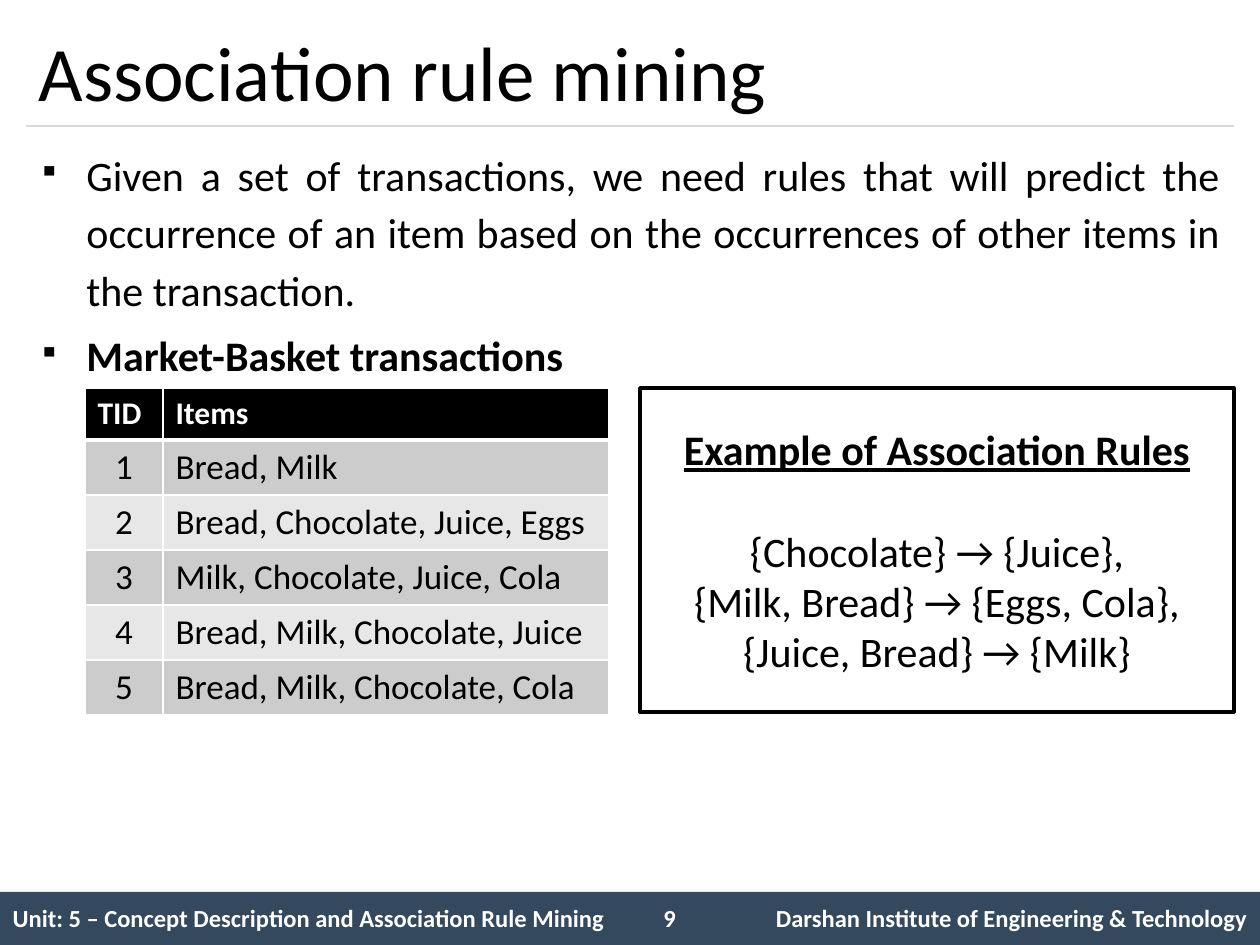
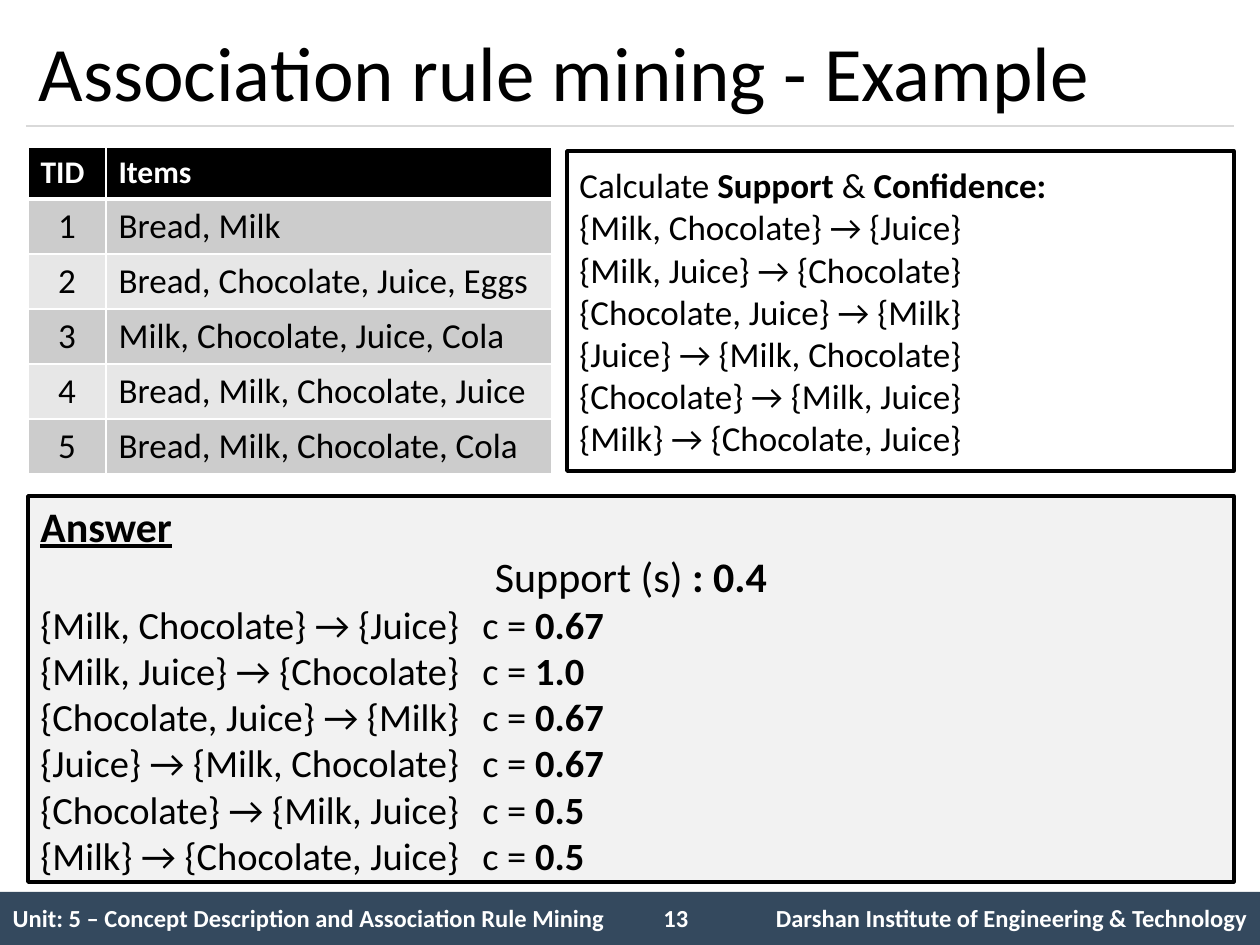
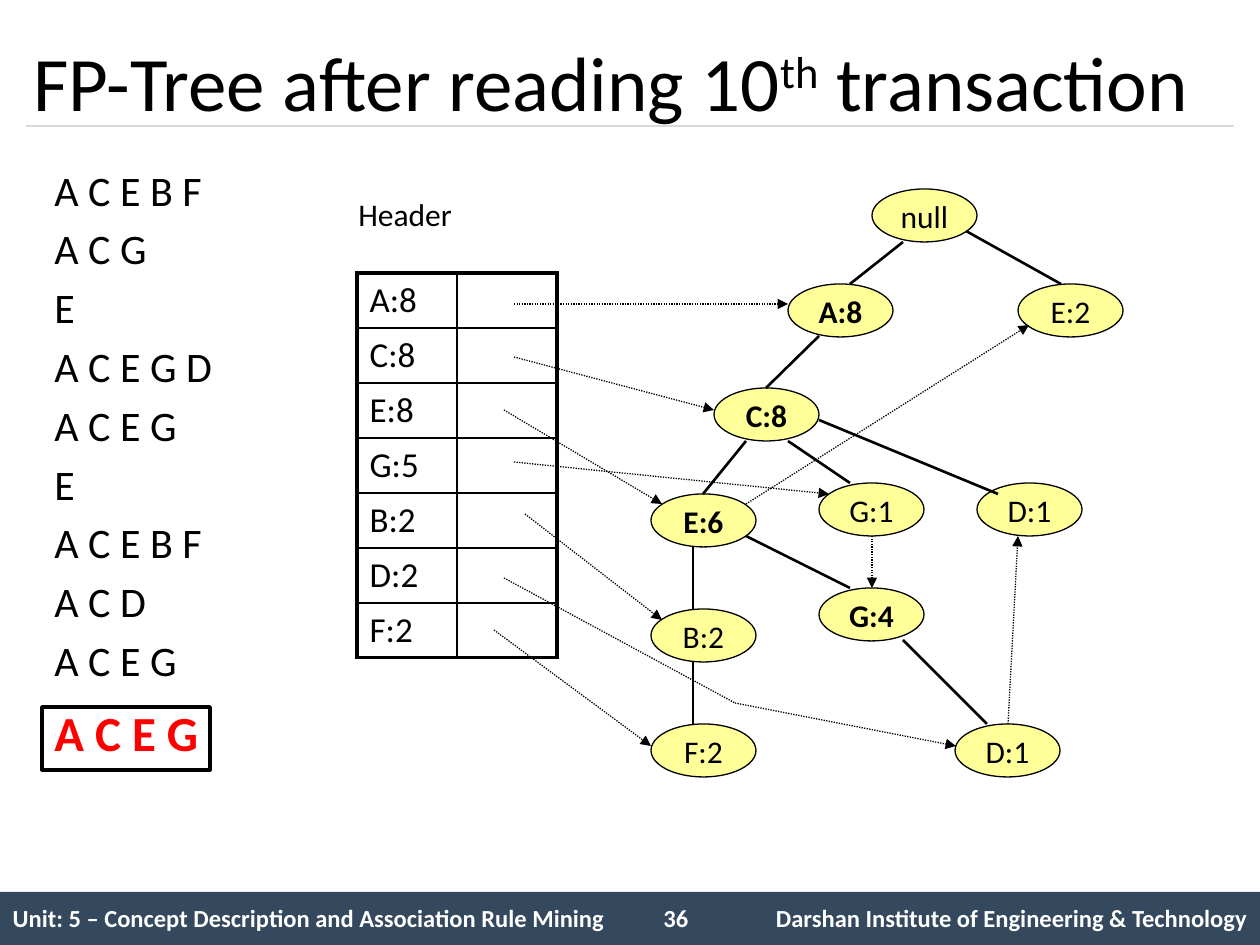
from typing import NamedTuple

from lxml import etree
from pptx import Presentation
from pptx import util as u
from pptx.dml.color import RGBColor
from pptx.enum import dml, shapes, text
from pptx.oxml import ns

EMU_PER_PX = 914400 / 126
FONT = "Calibri"
COLOURS = {
    "black": "000000", "white": "FFFFFF", "red": "FF0000", "band": "34495E",
    "rule": "D9D9D9", "dark_row": "CCCCCC", "light_row": "E7E7E7",
    "answer": "F2F2F2", "node": "FFFF99",
}
LEFT, CENTER, RIGHT, JUSTIFY = (
    text.PP_ALIGN.LEFT, text.PP_ALIGN.CENTER, text.PP_ALIGN.RIGHT, text.PP_ALIGN.JUSTIFY)


class Area(NamedTuple):
    left: int
    top: int
    width: int
    height: int


class Span(NamedTuple):
    text: str
    bold: bool = False
    raised: bool = False


class Node(NamedTuple):
    label: str
    left: int
    top: int
    bold: bool = False


class Link(NamedTuple):
    start: tuple[int, int]
    end: tuple[int, int]
    dotted: bool = False
    arrow: bool = False


class Border(NamedTuple):
    colour: str
    left: float
    right: float
    top: float
    bottom: float


TITLE_AREA = Area(26, 15, 1207, 111)
TREE_TITLE_AREA = Area(21, 32, 1218, 98)
NO_BORDER = Border("white", 0, 0, 0, 0)
BASKETS = [
    "Bread, Milk",
    "Bread, Chocolate, Juice, Eggs",
    "Milk, Chocolate, Juice, Cola",
    "Bread, Milk, Chocolate, Juice",
    "Bread, Milk, Chocolate, Cola",
]
CONFIDENCES = {
    "{Milk, Chocolate} → {Juice}": "0.67",
    "{Milk, Juice} → {Chocolate}": "1.0",
    "{Chocolate, Juice} → {Milk}": "0.67",
    "{Juice} → {Milk, Chocolate}": "0.67",
    "{Chocolate} → {Milk, Juice}": "0.5",
    "{Milk} → {Chocolate, Juice}": "0.5",
}
SEQUENCES = ["A C E B F", "A C G", "E", "A C E G D", "A C E G", "E",
             "A C E B F", "A C D", "A C E G"]
HEADER_ITEMS = ["A:8", "C:8", "E:8", "G:5", "B:2", "D:2", "F:2"]
NODES = [
    Node("null", 872, 189),
    Node("A:8", 788, 284, True),
    Node("E:2", 1018, 284),
    Node("C:8", 714, 388, True),
    Node("E:6", 651, 494, True),
    Node("G:1", 819, 483),
    Node("D:1", 977, 483),
    Node("G:4", 819, 588, True),
    Node("B:2", 651, 609),
    Node("F:2", 651, 724),
    Node("D:1", 955, 724),
]
BRANCHES = [
    Link((903, 242), (850, 284)),
    Link((966, 231), (1061, 284)),
    Link((819, 336), (766, 388)),
    Link((746, 441), (703, 494)),
    Link((788, 441), (850, 483)),
    Link((819, 420), (998, 494)),
    Link((693, 546), (693, 609)),
    Link((693, 662), (693, 724)),
    Link((746, 536), (850, 588)),
    Link((903, 640), (987, 724)),
]
POINTERS = [
    Link((514, 304), (788, 304), True, True),
    Link((514, 357), (714, 410), True, True),
    Link((504, 410), (662, 504), True, True),
    Link((746, 504), (1029, 325), True, True),
    Link((514, 462), (829, 494), True, True),
    Link((872, 536), (872, 588), True, True),
    Link((525, 514), (662, 620), True, True),
    Link((504, 578), (735, 703), True),
    Link((735, 703), (956, 746), True, True),
    Link((1008, 724), (1018, 536), True, True),
    Link((494, 630), (651, 746), True, True),
]


def px(length: float) -> int:
    return round(length * EMU_PER_PX)


def emus(area: Area) -> list[int]:
    return [px(length) for length in area]


def rgb(colour: str) -> RGBColor:
    return RGBColor.from_string(COLOURS[colour])


def write(frame, *spans: Span | str, size: float = 24, colour: str = "black",
          bold: bool = False, underline: bool = False, align=LEFT,
          before: float = 0, spacing: float | None = None,
          bullet: str = "", tab: int = 0) -> None:
    para = frame.paragraphs[0]
    if para.runs:
        para = frame.add_paragraph()
        para.space_before = u.Pt(before)
    properties = para._p.get_or_add_pPr()
    if bullet:
        properties.set("marL", str(px(48)))
        properties.set("indent", str(px(-48)))
        etree.SubElement(properties, ns.qn("a:buSzPct"), val="70000")
        etree.SubElement(properties, ns.qn("a:buChar"), char=bullet)
    if tab:
        stops = etree.SubElement(properties, ns.qn("a:tabLst"))
        etree.SubElement(stops, ns.qn("a:tab"), pos=str(px(tab)), algn="l")
    para.alignment = align
    if spacing:
        para.line_spacing = spacing
    for item in spans:
        span = Span(item, bold) if isinstance(item, str) else item
        run = para.add_run()
        run.text = span.text
        run.font.name = FONT
        run.font.size = u.Pt(size)
        run.font.bold = span.bold
        run.font.underline = underline
        run.font.color.rgb = rgb(colour)
        if span.raised:
            run._r.get_or_add_rPr().set("baseline", "30000")


def add_box(page, area: Area, fill: str = "", line: str = "black", weight: float = 2,
            kind=shapes.MSO_SHAPE.RECTANGLE, wrap: bool = True):
    box = page.shapes.add_shape(kind, *emus(area))
    box.shadow.inherit = False
    if fill:
        box.fill.solid()
        box.fill.fore_color.rgb = rgb(fill)
    else:
        box.fill.background()
    if line:
        box.line.color.rgb = rgb(line)
        box.line.width = u.Pt(weight)
    else:
        box.line.fill.background()
    box.text_frame.word_wrap = wrap
    box.text_frame.vertical_anchor = text.MSO_ANCHOR.MIDDLE
    return box.text_frame


def add_text(page, area: Area, wrap: bool = True):
    frame = page.shapes.add_textbox(*emus(area)).text_frame
    frame.word_wrap = wrap
    return frame


def add_link(page, link: Link, colour: str = "black", weight: float = 0) -> None:
    connector = page.shapes.add_connector(
        shapes.MSO_CONNECTOR.STRAIGHT, *emus(Area(*link.start, *link.end)))
    connector.line.color.rgb = rgb(colour)
    connector.line.width = u.Pt(weight or (0.75 if link.dotted else 1.5))
    if link.dotted:
        connector.line.dash_style = dml.MSO_LINE.ROUND_DOT
    if link.arrow:
        etree.SubElement(connector.line._get_or_add_ln(), ns.qn("a:tailEnd"), type="triangle")
    etree.SubElement(connector._element.spPr, ns.qn("a:effectLst"))


def style_cell(cell, border: Border, fill: str = "") -> None:
    properties = cell._tc.get_or_add_tcPr()
    sides = zip(("lnL", "lnR", "lnT", "lnB"), border[1:])
    for side, weight in sides:
        line = etree.SubElement(properties, ns.qn(f"a:{side}"), w=str(u.Pt(weight)))
        if weight:
            solid = etree.SubElement(line, ns.qn("a:solidFill"))
            etree.SubElement(solid, ns.qn("a:srgbClr"), val=COLOURS[border.colour])
        else:
            etree.SubElement(line, ns.qn("a:noFill"))
    if fill:
        cell.fill.solid()
        cell.fill.fore_color.rgb = rgb(fill)
    else:
        cell.fill.background()


def add_grid(page, left: int, top: int, widths: list[int], heights: list[int]):
    area = Area(left, top, sum(widths), sum(heights))
    table = page.shapes.add_table(len(heights), len(widths), *emus(area)).table
    table.first_row = table.horz_banding = False
    for column, width in zip(table.columns, widths):
        column.width = px(width)
    for row, height in zip(table.rows, heights):
        row.height = px(height)
    return table


def add_footer(page, number: int) -> None:
    add_box(page, Area(0, 892, 1260, 53), fill="band", line="")
    table = add_grid(page, 0, 892, [640, 84, 536], [54])
    labels = ["Unit: 5 – Concept Description and Association Rule Mining", "",
              "Darshan Institute of Engineering & Technology"]
    for cell, label, align in zip(table.rows[0].cells, labels, (LEFT, CENTER, RIGHT)):
        style_cell(cell, NO_BORDER)
        cell.vertical_anchor = text.MSO_ANCHOR.MIDDLE
        if label:
            write(cell.text_frame, label, size=14, colour="white", bold=True, align=align)
    write(add_text(page, Area(651, 897, 73, 43)), str(number),
          size=14, colour="white", bold=True)


def add_page(deck, number: int, *title: Span | str, area: Area = TITLE_AREA):
    page = deck.slides.add_slide(deck.slide_layouts.get_by_name("Title Only"))
    heading = page.shapes.title
    heading.left, heading.top, heading.width, heading.height = emus(area)
    frame = heading.text_frame
    frame.auto_size = text.MSO_AUTO_SIZE.NONE
    frame.word_wrap = True
    frame.vertical_anchor = text.MSO_ANCHOR.MIDDLE
    write(frame, *title, size=44)
    add_footer(page, number)
    add_link(page, Link((26, 126), (1234, 126)), "rule", 0.75)
    return page


def add_baskets(page, left: int, top: int) -> None:
    table = add_grid(page, left, top, [78, 446], [52] + [55] * len(BASKETS))
    for cell, label in zip(table.rows[0].cells, ("TID", "Items")):
        style_cell(cell, Border("white", 1, 1, 1, 3), "black")
        write(cell.text_frame, label, size=18, colour="white", bold=True)
    for index, basket in enumerate(BASKETS, 1):
        fill = "dark_row" if index % 2 else "light_row"
        top_weight = 3 if index == 1 else 1
        cells = table.rows[index].cells
        for cell, label, align in zip(cells, (str(index), basket), (CENTER, LEFT)):
            style_cell(cell, Border("white", 1, 1, top_weight, 1), fill)
            write(cell.text_frame, label, size=20, align=align)


def build_rules(deck) -> None:
    page = add_page(deck, 9, "Association rule mining")
    body = add_text(page, Area(26, 136, 1207, 250))
    write(body, "Given a set of transactions, we need rules that will predict the occurrence "
          "of an item based on the occurrences of other items in the transaction.",
          align=JUSTIFY, spacing=1.14, bullet="▪")
    write(body, "Market-Basket transactions", bold=True, align=JUSTIFY,
          before=4.8, spacing=1.14, bullet="▪")
    add_baskets(page, 85, 388)
    example = add_box(page, Area(640, 388, 594, 324), "white")
    write(example, "Example of Association Rules", bold=True, underline=True, align=CENTER)
    rules = ["{Chocolate} → {Juice},", "{Milk, Bread} → {Eggs, Cola},", "{Juice, Bread} → {Milk}"]
    for index, rule in enumerate(rules):
        write(example, rule, align=CENTER, before=0 if index else 29)


def build_confidence(deck) -> None:
    page = add_page(deck, 13, "Association rule mining - Example")
    add_baskets(page, 28, 147)
    task = add_box(page, Area(567, 151, 667, 320), "white")
    write(task, "Calculate ", Span("Support", True), " & ", Span("Confidence:", True), size=20)
    for rule in CONFIDENCES:
        write(task, rule, size=20)
    answer = add_box(page, Area(28, 496, 1206, 386), "answer")
    write(answer, "Answer", bold=True, underline=True)
    write(answer, "Support (s)", Span(" : 0.4", True), align=CENTER)
    for rule, value in CONFIDENCES.items():
        write(answer, f"{rule}\tc = ", Span(value, True), size=22, tab=442)


def build_tree(deck) -> None:
    page = add_page(deck, 36, "FP-Tree after reading 10", Span("th", raised=True),
                    " transaction", area=TREE_TITLE_AREA)
    listing = add_text(page, Area(42, 158, 273, 640))
    for sequence in SEQUENCES:
        write(listing, sequence, before=4.8)
    write(listing, "A C E G", size=28, colour="red", bold=True, before=10)
    add_box(page, Area(42, 707, 168, 63))

    write(add_text(page, Area(346, 189, 129, 50), wrap=False), "Header", size=18)
    table = add_grid(page, 357, 273, [100, 100], [55] * len(HEADER_ITEMS))
    last = len(HEADER_ITEMS) - 1
    for index, item in enumerate(HEADER_ITEMS):
        top = 2.25 if index == 0 else 1
        bottom = 2.25 if index == last else 1
        name, pointer = table.rows[index].cells
        style_cell(name, Border("black", 2.25, 1, top, bottom))
        style_cell(pointer, Border("black", 1, 2.25, top, bottom))
        write(name.text_frame, item, size=20)

    for node in NODES:
        frame = add_box(page, Area(node.left, node.top, 105, 53), "node", weight=0.75,
                        kind=shapes.MSO_SHAPE.OVAL, wrap=False)
        write(frame, node.label, size=18, bold=node.bold, align=CENTER)
    for link in BRANCHES + POINTERS:
        add_link(page, link)


def main() -> None:
    deck = Presentation()
    deck.slide_width, deck.slide_height = px(1260), px(945)
    build_rules(deck)
    build_confidence(deck)
    build_tree(deck)
    deck.save("out.pptx")


if __name__ == "__main__":
    main()
